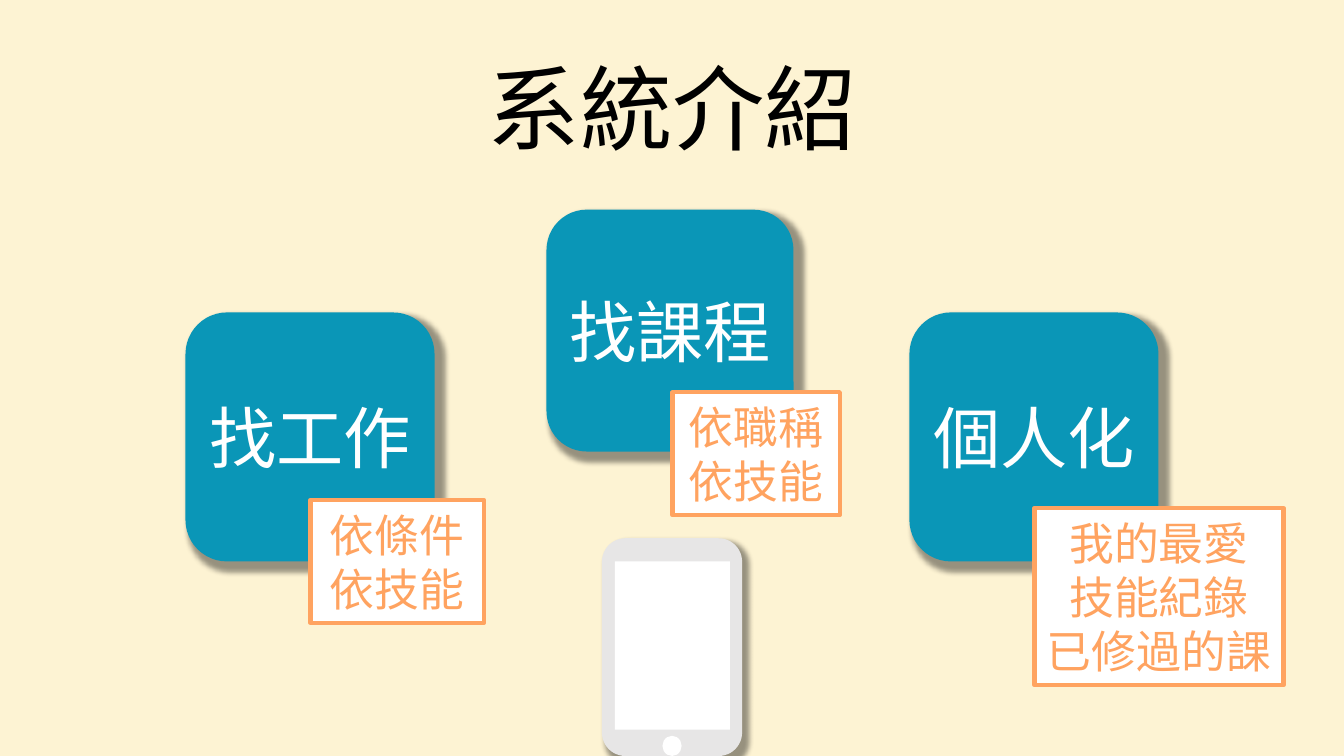
from lxml import etree
from pptx import Presentation
from pptx.dml.color import RGBColor
from pptx.enum.shapes import MSO_SHAPE as Shape
from pptx.enum.text import MSO_ANCHOR as Anchor, PP_ALIGN as Align
from pptx.oxml.ns import qn
from pptx.util import Inches, Pt

WIDTH, HEIGHT = 13.33, 7.5
FONT = "Noto Sans CJK JP"
CREAM, TEAL, ORANGE = "FDF3D3", "0A96B7", "FFA360"
WHITE, BLACK, GREY = "FFFFFF", "000000", "E7E6E6"

TITLE = "系統介紹"
# Tile name, tile place, detail paragraphs, detail place
FEATURES = [
    ("找工作", (1.84, 3.1, 2.47, 2.47), ["依條件\n依技能"], (3.08, 4.96, 1.72, 1.22)),
    ("找課程", (5.42, 2.08, 2.45, 2.4), ["依職稱\n依技能"], (6.67, 3.89, 1.66, 1.22)),
    ("個人化", (9.02, 3.1, 2.47, 2.47), ["我的最愛", "技能紀錄", "已修過的課"],
     (10.26, 5.04, 2.47, 1.76)),
]
# Phone body, screen and button
PHONE = [
    (Shape.ROUNDED_RECTANGLE, (5.97, 5.34, 1.39, 2.16), GREY, True),
    (Shape.RECTANGLE, (6.1, 5.57, 1.14, 1.67), WHITE, False),
    (Shape.OVAL, (6.57, 7.3, 0.19, 0.2), WHITE, False),
]


def color(value):
    return RGBColor.from_string(value)


def add_shadow(shape):
    """Cast a soft shadow to the lower right, slightly larger than the shape."""
    effects = shape._element.spPr.find(qn("a:effectLst"))
    shadow = etree.SubElement(
        effects, qn("a:outerShdw"), blurRad=str(Pt(4)), dist=str(Pt(3)), dir="2700000",
        sx="103000", sy="103000", algn="tl", rotWithShape="0")
    tint = etree.SubElement(shadow, qn("a:srgbClr"), val=BLACK)
    etree.SubElement(tint, qn("a:alpha"), val="40000")


def add_box(page, kind, place, fill, line=None, shadow=False):
    box = page.shapes.add_shape(kind, *map(Inches, place))
    box.shadow.inherit = False
    box.fill.solid()
    box.fill.fore_color.rgb = color(fill)
    if line:
        box.line.color.rgb = color(line)
        box.line.width = Pt(3)
    else:
        box.line.fill.background()
    if shadow:
        add_shadow(box)
    return box


def write(box, paragraphs, size, ink, spacing=None):
    """Fill a box with centred paragraphs; a newline becomes a line break."""
    frame = box.text_frame
    frame.word_wrap = True
    frame.vertical_anchor = Anchor.MIDDLE
    for index, text in enumerate(paragraphs):
        para = frame.add_paragraph() if index else frame.paragraphs[0]
        para.alignment = Align.CENTER
        para.line_spacing = spacing
        for row, line in enumerate(text.split("\n")):
            if row:
                para.add_line_break()
            span = para.add_run()
            span.text = line
            span.font.size = Pt(size)
            span.font.color.rgb = color(ink)
            span.font.name = FONT
            etree.SubElement(span.font._element, qn("a:ea"), typeface=FONT)


def main():
    deck = Presentation()
    deck.slide_width, deck.slide_height = Inches(WIDTH), Inches(HEIGHT)
    page = deck.slides.add_slide(deck.slide_layouts[6])
    page.background.fill.solid()
    page.background.fill.fore_color.rgb = color(CREAM)

    title = page.shapes.add_textbox(*map(Inches, (0.92, 0.4, 11.5, 1.45)))
    write(title, [TITLE], 66, BLACK, 0.9)
    for kind, place, fill, shadow in PHONE:
        add_box(page, kind, place, fill, shadow=shadow)
    for name, place, _, _ in FEATURES:
        tile = add_box(page, Shape.ROUNDED_RECTANGLE, place, TEAL, shadow=True)
        write(tile, [name], 48, WHITE)
    for _, _, details, place in FEATURES:
        card = add_box(page, Shape.RECTANGLE, place, WHITE, line=ORANGE)
        write(card, details, 32, ORANGE)
    deck.save("out.pptx")


if __name__ == "__main__":
    main()
